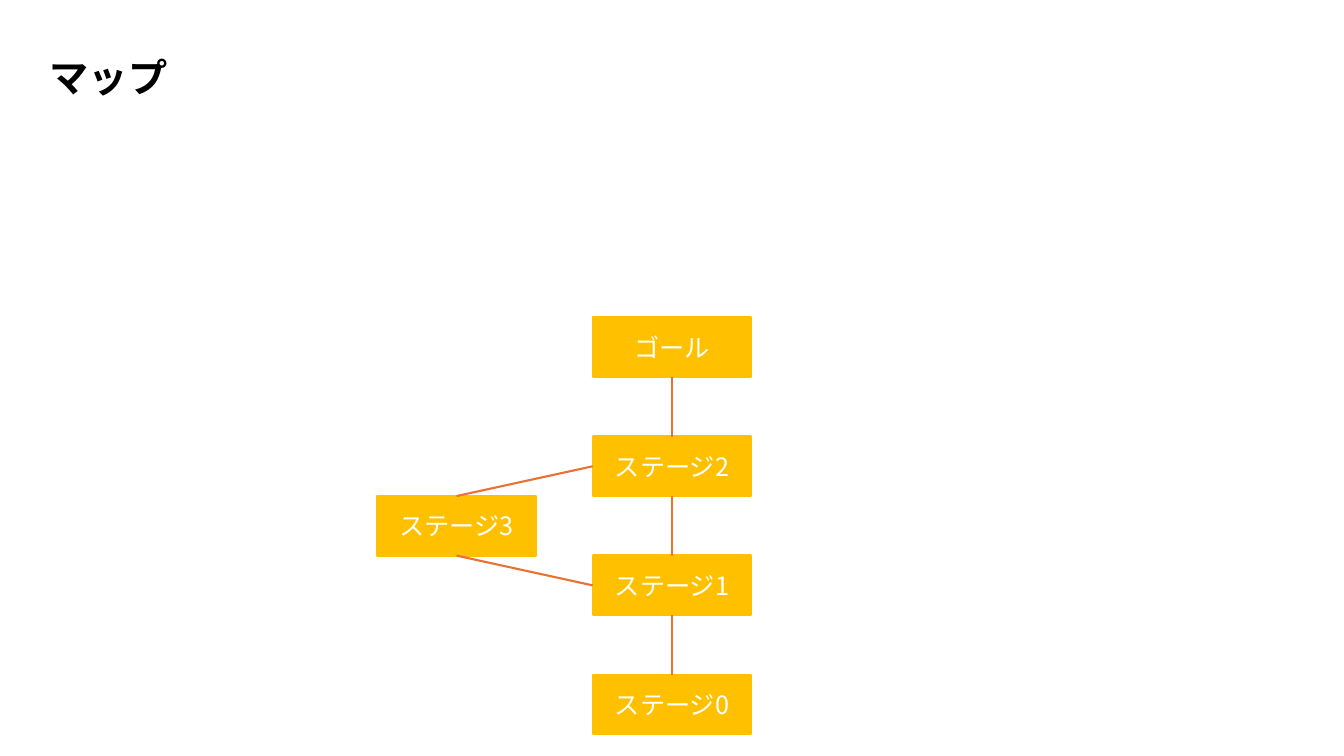
from lxml.etree import SubElement
from pptx import Presentation
from pptx.dml.color import RGBColor
from pptx.enum.shapes import MSO_CONNECTOR, MSO_SHAPE
from pptx.enum.text import MSO_ANCHOR, PP_ALIGN
from pptx.oxml.ns import qn
from pptx.util import Cm, Pt

TITLE = "マップ"
STAGES = {
    "ステージ0": (0, 0),
    "ステージ1": (0, 1),
    "ステージ2": (0, 2),
    "ステージ3": (-1, 1.5),
    "ゴール": (0, 3),
}
TOP, LEFT, BOTTOM = 0, 1, 2
ROUTES = [
    ("ステージ3", BOTTOM, "ステージ1", LEFT),
    ("ステージ3", TOP, "ステージ2", LEFT),
    ("ステージ2", BOTTOM, "ステージ1", TOP),
    ("ステージ1", BOTTOM, "ステージ0", TOP),
    ("ゴール", BOTTOM, "ステージ2", TOP),
]

FONT = "Noto Sans CJK JP"
BLACK = RGBColor(0x00, 0x00, 0x00)
WHITE = RGBColor(0xFF, 0xFF, 0xFF)
GOLD = RGBColor(0xFF, 0xC0, 0x00)
ORANGE = RGBColor(0xE9, 0x71, 0x32)

SLIDE_WIDTH, SLIDE_HEIGHT = 33.87, 19.05
BOX_WIDTH, BOX_HEIGHT = 4, 1.5
COLUMN_STEP, ROW_STEP = 5.43, 3
START_LEFT = (SLIDE_WIDTH - BOX_WIDTH) / 2
START_TOP = 17


def add_text(paragraph, text, size, color, bold=False):
    run = paragraph.add_run()
    run.text = text
    run.font.size = Pt(size)
    run.font.bold = bold
    run.font.color.rgb = color
    run.font.name = FONT
    SubElement(run.font._element, qn("a:ea"), typeface=FONT)


def add_title(slide):
    title = slide.shapes.title
    title.left, title.top, title.width, title.height = Cm(1), Cm(1), Cm(7), Cm(2)
    title.text_frame.vertical_anchor = MSO_ANCHOR.MIDDLE
    paragraph = title.text_frame.paragraphs[0]
    paragraph.alignment = PP_ALIGN.LEFT
    paragraph.line_spacing = 0.9
    add_text(paragraph, TITLE, 28, BLACK, bold=True)


def add_stage(slide, name, column, level):
    shape = slide.shapes.add_shape(
        MSO_SHAPE.RECTANGLE,
        Cm(START_LEFT + column * COLUMN_STEP),
        Cm(START_TOP - level * ROW_STEP),
        Cm(BOX_WIDTH),
        Cm(BOX_HEIGHT),
    )
    shape.shadow.inherit = False
    shape.fill.solid()
    shape.fill.fore_color.rgb = GOLD
    shape.line.color.rgb = GOLD
    shape.line.width = Pt(1.5)
    shape.text_frame.vertical_anchor = MSO_ANCHOR.MIDDLE
    paragraph = shape.text_frame.paragraphs[0]
    paragraph.alignment = PP_ALIGN.CENTER
    add_text(paragraph, name, 18, WHITE)
    return shape


def add_route(slide, start, start_side, end, end_side):
    connector = slide.shapes.add_connector(MSO_CONNECTOR.STRAIGHT, 0, 0, 0, 0)
    connector.begin_connect(start, start_side)
    connector.end_connect(end, end_side)
    connector.line.color.rgb = ORANGE
    connector.line.width = Pt(1.5)
    SubElement(connector._element.spPr, qn("a:effectLst"))


def main():
    presentation = Presentation()
    presentation.slide_width = Cm(SLIDE_WIDTH)
    presentation.slide_height = Cm(SLIDE_HEIGHT)
    slide = presentation.slides.add_slide(presentation.slide_layouts[5])
    add_title(slide)
    boxes = {
        name: add_stage(slide, name, column, level)
        for name, (column, level) in STAGES.items()
    }
    for start, start_side, end, end_side in ROUTES:
        add_route(slide, boxes[start], start_side, boxes[end], end_side)
    presentation.save("out.pptx")


if __name__ == "__main__":
    main()
